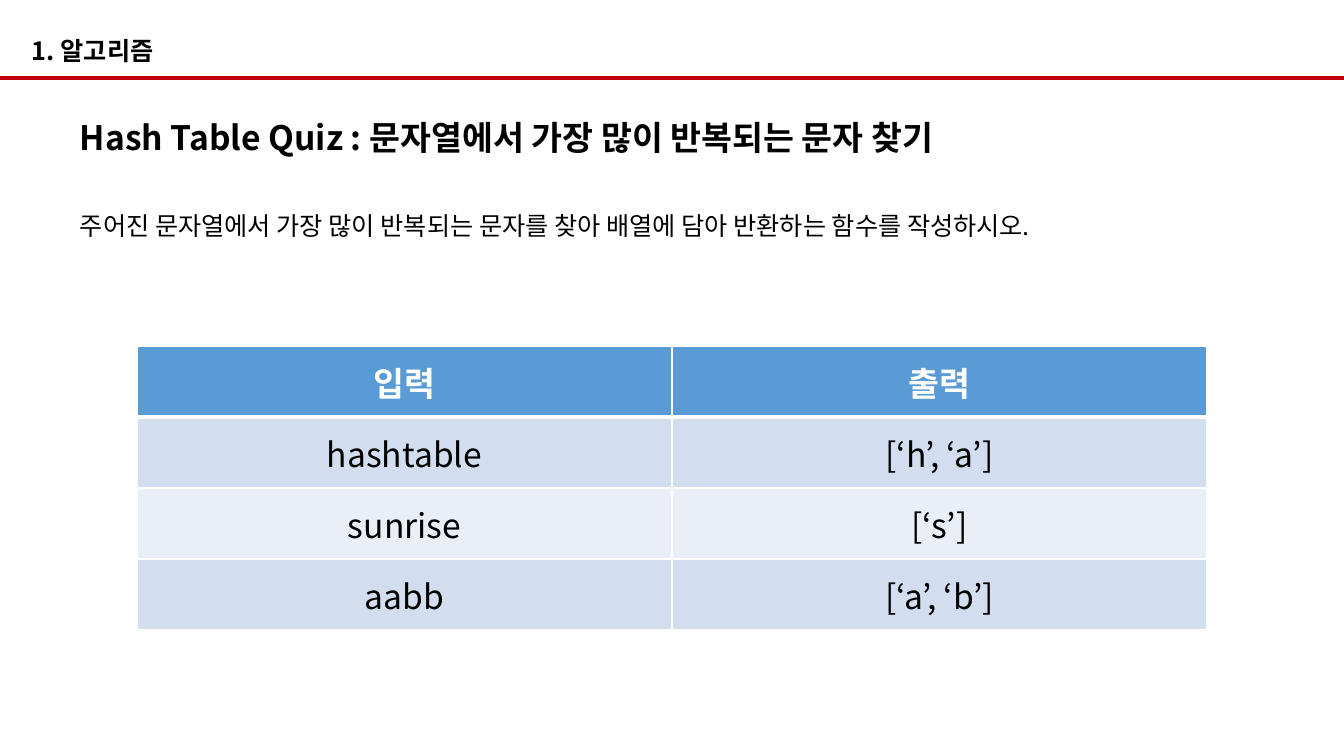
from lxml import etree
from pptx import Presentation
from pptx.dml.color import RGBColor
from pptx.enum.shapes import MSO_CONNECTOR
from pptx.enum.text import MSO_ANCHOR, PP_ALIGN
from pptx.oxml.ns import qn
from pptx.util import Pt

STRAIGHT = MSO_CONNECTOR.STRAIGHT
MIDDLE = MSO_ANCHOR.MIDDLE
CENTER = PP_ALIGN.CENTER

COLORS = {
    "black": "000000",
    "white": "FFFFFF",
    "rule": "C00000",
    "header": "5B9BD5",
    "odd": "D2DEEF",
    "even": "EAEFF7",
}
FONT = "Noto Sans CJK KR"
SLIDE_WIDTH, SLIDE_HEIGHT = 1344, 756
RULE_Y = 78

TEXTS = [
    ("1. 알고리즘", (22, 30, 277, 40), {"size": Pt(18), "bold": True}),
    ("Hash Table Quiz : 문자열에서 가장 많이 반복되는 문자 찾기",
     (70, 112, 1233, 50), {"size": Pt(24), "bold": True}),
    ("주어진 문자열에서 가장 많이 반복되는 문자를 찾아 배열에 담아 반환하는 함수를 작성하시오.",
     (70, 205, 1141, 40), {"size": Pt(18), "bold": False}),
]
QUIZ_ROWS = [
    ("입력", "출력"),
    ("hashtable", "[‘h’, ‘a’]"),
    ("sunrise", "[‘s’]"),
    ("aabb", "[‘a’, ‘b’]"),
]
TABLE_LEFT, TABLE_TOP = 137, 346
COLUMN_WIDTH, ROW_HEIGHT = 535, 71


def px(length):
    return round(length * 914400 / 100.8)


def color(name):
    return RGBColor.from_string(COLORS[name])


def write(para, text, color_name, formats):
    span = para.add_run()
    span.text = text
    for name, value in {"name": FONT, **formats}.items():
        setattr(span.font, name, value)
    span.font.color.rgb = color(color_name)
    east_asian = etree.SubElement(span.font._element, qn("a:ea"))
    east_asian.set("typeface", FONT)


def add_border(cell, side, points):
    properties = cell._tc.get_or_add_tcPr()
    line = etree.SubElement(properties, qn(f"a:ln{side}"), w=str(Pt(points)))
    fill = etree.SubElement(line, qn("a:solidFill"))
    etree.SubElement(fill, qn("a:srgbClr"), val=COLORS["white"])


def add_quiz_table(page):
    columns = len(QUIZ_ROWS[0])
    table = page.shapes.add_table(
        len(QUIZ_ROWS), columns, px(TABLE_LEFT), px(TABLE_TOP),
        px(COLUMN_WIDTH * columns), px(ROW_HEIGHT * len(QUIZ_ROWS))).table
    for row_index, values in enumerate(QUIZ_ROWS):
        header = row_index == 0
        fill_name = "header" if header else "odd" if row_index % 2 else "even"
        borders = {
            "L": 1,
            "R": 1,
            "T": 3 if row_index == 1 else 1,
            "B": 3 if header else 1,
        }
        for column_index, value in enumerate(values):
            cell = table.cell(row_index, column_index)
            for side, points in borders.items():
                add_border(cell, side, points)
            cell.fill.solid()
            cell.fill.fore_color.rgb = color(fill_name)
            cell.vertical_anchor = MIDDLE
            para = cell.text_frame.paragraphs[0]
            para.alignment = CENTER
            write(para, value, "white" if header else "black",
                  {"size": Pt(24), "bold": header})


def add_rule(page):
    rule = page.shapes.add_connector(
        STRAIGHT, 0, px(RULE_Y), px(SLIDE_WIDTH), px(RULE_Y))
    rule.line.color.rgb = color("rule")
    rule.line.width = Pt(3)
    etree.SubElement(rule._element.spPr, qn("a:effectLst"))


def main():
    deck = Presentation()
    deck.slide_width, deck.slide_height = px(SLIDE_WIDTH), px(SLIDE_HEIGHT)
    page = deck.slides.add_slide(deck.slide_layouts[6])
    for text, bounds, formats in TEXTS:
        box = page.shapes.add_textbox(*map(px, bounds))
        box.text_frame.word_wrap = True
        write(box.text_frame.paragraphs[0], text, "black", formats)
    add_quiz_table(page)
    add_rule(page)
    deck.save("out.pptx")


if __name__ == "__main__":
    main()
